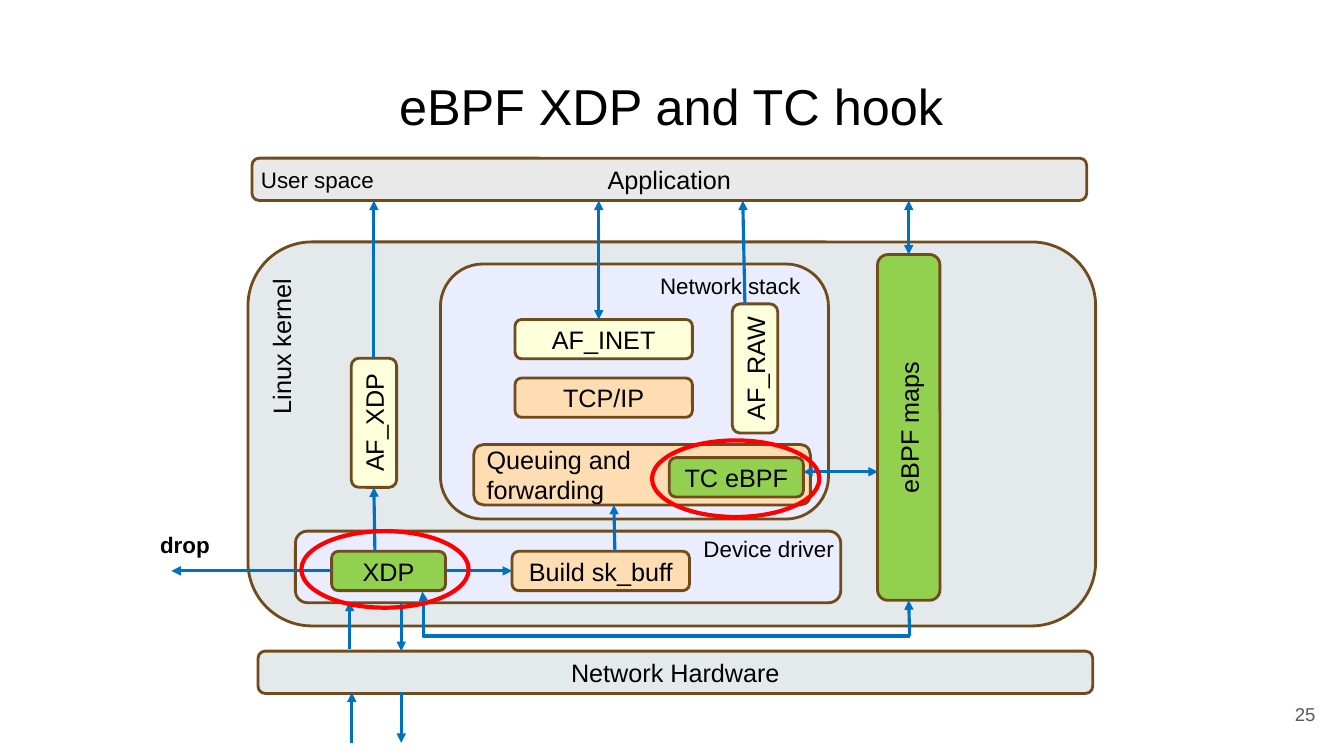
import pptx
import pptx.util
import pptx.dml.color
import pptx.enum.shapes
import pptx.enum.text
import pptx.oxml.ns
import lxml.etree

Pt = pptx.util.Pt
SHAPES = pptx.enum.shapes.MSO_SHAPE
CONNECTORS = pptx.enum.shapes.MSO_CONNECTOR
ALIGN = pptx.enum.text.PP_ALIGN
ANCHOR = pptx.enum.text.MSO_ANCHOR
qn = pptx.oxml.ns.qn

# Palette
BLACK, GREY, RED, BLUE, BROWN = "000000", "595959", "FF0000", "0070C0", "704B1C"
GREEN, ORANGE, CREAM = "92D050", "FFDDB3", "FCFFD9"
SLATE, LAVENDER, SILVER = "E4E9EB", "E9EDFD", "E9E9E9"

# Connection sites; a box turned by 270 degrees carries its sites with it
TOP, LEFT, BOTTOM, RIGHT = range(4)
TURNED_TOP, TURNED_BOTTOM = RIGHT, LEFT


def rgb(value):
    return pptx.dml.color.RGBColor.from_string(value)


class Diagram:
    font = "Arial"

    def __init__(self, slide):
        self.shapes = slide.shapes

    def set_text(self, shape, text, size, align, anchor, color=BLACK, bold=False):
        frame = shape.text_frame
        frame.word_wrap = True
        frame.vertical_anchor = anchor
        frame.text = text
        for paragraph in frame.paragraphs:
            paragraph.alignment = align
            paragraph.font.name = self.font
            paragraph.font.size = Pt(size)
            paragraph.font.bold = bold
            paragraph.font.color.rgb = rgb(color)
        return frame

    def box(self, left, top, width, height, fill, text="", turn=0, align=ALIGN.CENTER):
        shape = self.shapes.add_shape(SHAPES.ROUNDED_RECTANGLE,
                                      Pt(left), Pt(top), Pt(width), Pt(height))
        shape.shadow.inherit = False
        shape.fill.solid()
        shape.fill.fore_color.rgb = rgb(fill)
        shape.line.color.rgb = rgb(BROWN)
        shape.line.width = Pt(2)
        shape.rotation = turn
        if text:
            frame = self.set_text(shape, text, 18, align, ANCHOR.MIDDLE)
            margin = Pt(7.2 if align == ALIGN.LEFT else 3.6)
            frame.margin_left = frame.margin_right = margin
        return shape

    def label(self, left, top, width, height, text, size=16, turn=0, align=ALIGN.LEFT,
              anchor=ANCHOR.TOP, color=BLACK, bold=False, margin=None):
        shape = self.shapes.add_textbox(Pt(left), Pt(top), Pt(width), Pt(height))
        shape.rotation = turn
        frame = self.set_text(shape, text, size, align, anchor, color, bold)
        if margin is not None:
            frame.margin_left = frame.margin_right = Pt(margin)
            frame.margin_top = frame.margin_bottom = Pt(margin)

    def ring(self, left, top):
        shape = self.shapes.add_shape(SHAPES.OVAL, Pt(left), Pt(top), Pt(119.5), Pt(54.7))
        shape.shadow.inherit = False
        shape.fill.background()
        shape.line.color.rgb = rgb(RED)
        shape.line.width = Pt(3)

    def arrow(self, x1, y1, x2, y2, ends=("tail",), begin=None, end=None, bend=None):
        kind = CONNECTORS.STRAIGHT if bend is None else CONNECTORS.ELBOW
        line = self.shapes.add_connector(kind, Pt(x1), Pt(y1), Pt(x2), Pt(y2))
        if begin:
            line.begin_connect(*begin)
        if end:
            line.end_connect(*end)
        # Joining ignores rotation, so the end points are placed again
        line.begin_x, line.begin_y = Pt(x1), Pt(y1)
        line.end_x, line.end_y = Pt(x2), Pt(y2)
        line.line.color.rgb = rgb(BLUE)
        line.line.width = Pt(2.25)
        properties = line._element.spPr
        outline = properties.find(qn("a:ln"))
        for side in ends:
            lxml.etree.SubElement(outline, qn(f"a:{side}End"), type="triangle")
        lxml.etree.SubElement(properties, qn("a:effectLst"))
        if bend is not None:
            guides = properties.find(qn("a:prstGeom")).find(qn("a:avLst"))
            lxml.etree.SubElement(guides, qn("a:gd"), name="adj1", fmla=f"val {bend}")


def main():
    deck = pptx.Presentation()
    deck.slide_width, deck.slide_height = Pt(960), Pt(540)
    art = Diagram(deck.slides.add_slide(deck.slide_layouts[6]))
    both = ("head", "tail")

    # Title and page number
    art.label(32.4, 46.8, 894.2, 60.5, "eBPF XDP and TC hook", 36,
              align=ALIGN.CENTER, margin=7.2)
    art.label(889.2, 489.6, 57.6, 41, "25", 13.3, align=ALIGN.RIGHT,
              anchor=ANCHOR.MIDDLE, color=GREY, margin=7.2)

    # Hardware, kernel and application layers
    art.box(184.3, 465.1, 596.2, 30.2, SLATE, "Network Hardware")
    art.box(177.1, 172.8, 605.5, 274.3, SLATE)
    art.box(180, 113, 596.2, 30.2, SILVER, "Application")
    art.label(179.3, 115.2, 116.6, 26.6, "User space")
    art.label(144, 231.8, 113.8, 28.8, "Linux kernel", 18, turn=270)

    # Device driver
    art.box(211, 379.4, 389.5, 51.1, LAVENDER)
    xdp = art.box(236.9, 393.8, 81.4, 28.1, GREEN, "XDP")
    sk_buff = art.box(365.8, 393.8, 126.7, 28.1, ORANGE, "Build sk_buff")
    art.label(495.4, 378.7, 116.6, 26.6, "Device driver")

    # Network stack
    art.box(314.6, 188.6, 277.2, 182.2, LAVENDER)
    art.box(338.4, 317.5, 240.5, 43.2, ORANGE, "Queuing and\nforwarding", align=ALIGN.LEFT)
    art.box(478.1, 326.9, 95.8, 28.1, GREEN, "TC eBPF")
    art.box(367.9, 270, 126.7, 28.1, ORANGE, "TCP/IP")
    art.box(367.9, 228.2, 126.7, 28.1, CREAM, "AF_INET")
    art.label(464.4, 190.8, 116.6, 26.6, "Network stack")

    # Upright boxes
    maps = art.box(525.6, 283, 247, 44.6, GREEN, "eBPF maps", 270)
    art.box(493.2, 247, 92.2, 32.4, CREAM, "AF_RAW", 270)
    af_xdp = art.box(221, 285.8, 92.2, 32.4, CREAM, "AF_XDP", 270)

    # Packet paths out of XDP and up the stack
    art.arrow(318.3, 407.8, 365.8, 407.8, begin=(xdp, RIGHT), end=(sk_buff, LEFT))
    art.arrow(236.9, 407.8, 122.4, 407.8, begin=(xdp, LEFT))
    art.label(107.3, 375.8, 58.3, 26.6, "drop", bold=True)
    art.arrow(439.2, 393.8, 438.5, 360.7)
    art.arrow(267.8, 393.8, 267.1, 348.1, end=(af_xdp, TURNED_BOTTOM))

    # Sockets to the application
    art.arrow(267.1, 255.9, 267.1, 143.3, begin=(af_xdp, TURNED_TOP))
    art.arrow(427.7, 228.2, 427.7, 143.3, both)
    art.arrow(532.1, 217.4, 530.6, 143.3)

    # Links to the maps
    art.arrow(649.1, 143.3, 649.1, 181.8, both, end=(maps, TURNED_TOP))
    art.arrow(573.8, 337, 627.1, 337, both)
    art.arrow(301.7, 422.6, 649.8, 454.3, ("head",), bend=200)
    art.arrow(649.8, 454.3, 649.1, 428.8, end=(maps, TURNED_BOTTOM))

    # Receive and transmit around the hardware
    art.arrow(249.8, 463.7, 249.8, 429.8)
    art.arrow(251.3, 530.6, 251.3, 494.6)
    for upper, lower in ((431.3, 465.1), (494.6, 530.6)):
        art.arrow(286.6, upper, 286.6, lower)

    # Hooks in focus
    art.ring(215.3, 379.4)
    art.ring(465.8, 314.6)

    deck.save("out.pptx")


if __name__ == "__main__":
    main()
